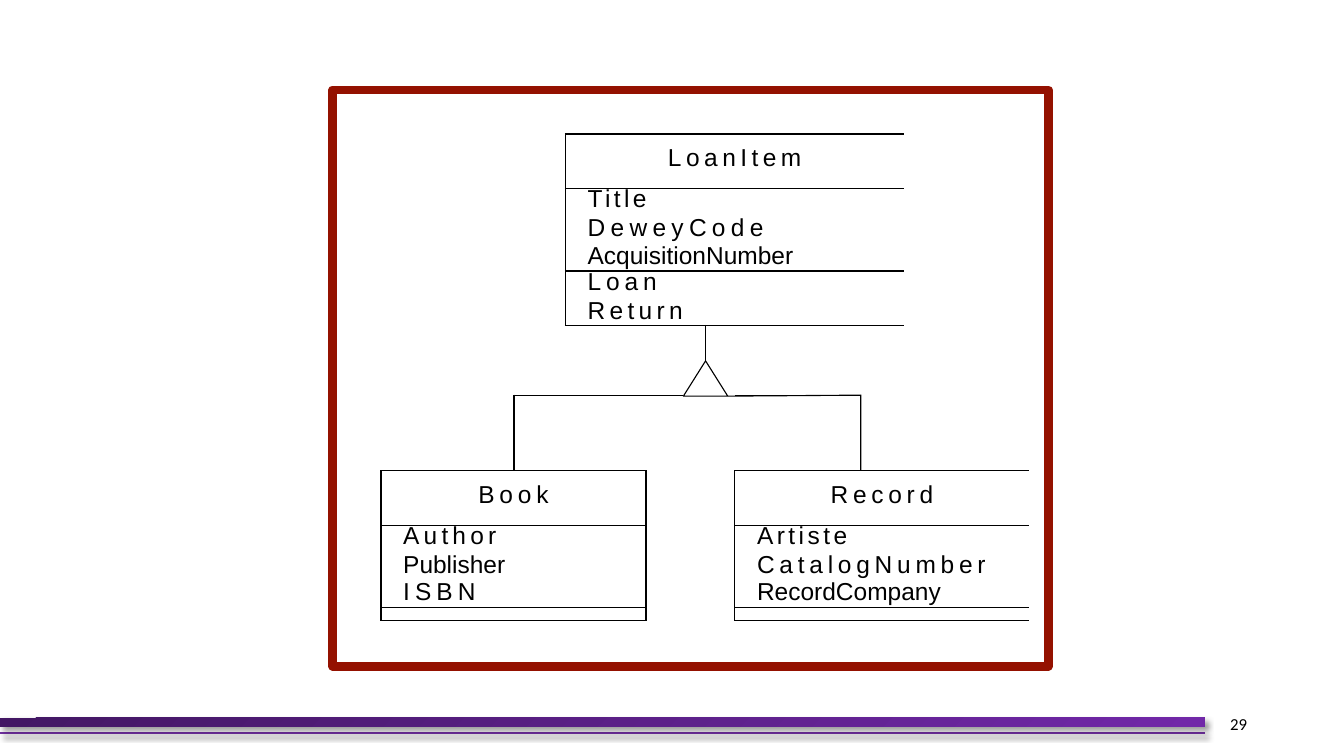
from lxml import etree
from pptx import Presentation, util as u
from pptx.dml import color
from pptx.enum import shapes, text
from pptx.oxml import ns, parse_xml

BLACK = "000000"
PURPLE = "7030A0"
FRAME_RED = "941100"
PLAIN_TABLE = "{2D5ABB26-0587-4C30-8999-92F81FD0307C}"
HEADING_SIZE = 17.5


def grid(steps):
    """Length of a number of grid steps, ten to the inch."""
    return u.Inches(steps / 10)


def paint(target, hex_code):
    target.rgb = color.RGBColor.from_string(hex_code)


def stroke(shape, hex_code, width):
    paint(shape.line.color, hex_code)
    shape.line.width = u.Pt(width)


def add_effects(shape, shadow=False):
    effects = etree.SubElement(shape._element.spPr, ns.qn("a:effectLst"))
    if shadow:
        outer = etree.SubElement(effects, ns.qn("a:outerShdw"), blurRad=str(u.Pt(4)),
                                 dist=str(u.Pt(3)), dir="2700000", algn="tl", rotWithShape="0")
        tint = etree.SubElement(outer, ns.qn("a:srgbClr"), val=BLACK)
        etree.SubElement(tint, ns.qn("a:alpha"), val="40000")


def add_line(page, start, end, hex_code, width, shadow=False):
    line = page.shapes.add_connector(shapes.MSO_CONNECTOR.STRAIGHT,
                                     *map(grid, start), *map(grid, end))
    stroke(line, hex_code, width)
    add_effects(line, shadow)


def add_outline(page, points, hex_code, width, closed=False):
    corners = [(grid(x), grid(y)) for x, y in points]
    builder = page.shapes.build_freeform(*corners[0], scale=1.0)
    builder.add_line_segments(corners[1:], close=closed)
    outline = builder.convert_to_shape()
    outline.shadow.inherit = False
    outline.fill.background()
    stroke(outline, hex_code, width)
    etree.SubElement(outline.line._ln, ns.qn("a:round"))


# Table cells
def set_borders(cell, sides):
    props = cell._tc.get_or_add_tcPr()
    for side in "LRTB":
        edge = etree.SubElement(props, ns.qn("a:ln" + side), w=str(u.Pt(1)))
        if side in sides:
            fill = etree.SubElement(edge, ns.qn("a:solidFill"))
            etree.SubElement(fill, ns.qn("a:srgbClr"), val=BLACK)
        else:
            etree.SubElement(edge, ns.qn("a:noFill"))
    cell.fill.background()


def clear_cell(cell):
    cell.margin_left = cell.margin_right = cell.margin_top = cell.margin_bottom = 0
    para = cell.text_frame.paragraphs[0]
    etree.SubElement(para._p, ns.qn("a:endParaRPr"), sz="500")


def write(para, words, spacing):
    para.text = words
    span = para.runs[0]
    span.font.name, span.font.size = "Arial", u.Pt(HEADING_SIZE)
    paint(span.font.color, BLACK)
    span._r.get_or_add_rPr().set("spc", str(round(spacing * 100)))


def write_heading(cell, heading):
    cell.margin_top = grid(1)
    para = cell.text_frame.paragraphs[0]
    write(para, *heading)
    para.alignment = text.PP_ALIGN.CENTER


def write_members(cell, members):
    frame = cell.text_frame
    for index, member in enumerate(members):
        para = frame.add_paragraph() if index else frame.paragraphs[0]
        write(para, *member)
        para._p.get_or_add_pPr().set("marL", str(grid(2.2)))
        para._p.get_or_add_pPr().set("indent", "0")
        para.line_spacing = u.Pt(19.6 if index else 17.5)
        if index == 1:
            para.space_before = u.Pt(1.1)


def add_class(page, corner, columns, rows, joint_row, joint_sides, parts):
    """Class table: boxed heading and members, plus one row holding the joint lines."""
    holder = page.shapes.add_table(len(rows), len(columns), *map(grid, corner),
                                   grid(sum(columns)), grid(sum(rows)))
    table = holder.table
    table.first_row = table.horz_banding = False
    table._tbl.tblPr.find(ns.qn("a:tableStyleId")).text = PLAIN_TABLE
    for column, width in zip(table.columns, columns):
        column.width = grid(width)
    for row, height in zip(table.rows, rows):
        row.height = grid(height)
    boxed = [index for index in range(len(rows)) if index != joint_row]

    # Borders: joint row as given, other rows as boxes two columns wide
    for row in range(len(rows)):
        for column in range(len(columns)):
            cell = table.cell(row, column)
            clear_cell(cell)
            if row == joint_row:
                set_borders(cell, joint_sides[column])
            else:
                set_borders(cell, ("LTB", "RTB", "L")[column])
    if len(columns) > 2:
        table.cell(joint_row, 1).merge(table.cell(joint_row, 2))
        table.cell(boxed[0], 2).merge(table.cell(boxed[-1], 2))

    # Words
    for row, part in zip(boxed, parts):
        cell = table.cell(row, 0)
        cell.merge(table.cell(row, 1))
        if row == boxed[0]:
            write_heading(cell, part[0])
        elif part:
            write_members(cell, part)


def add_footer(page):
    add_line(page, (0, 72.7), (119.5, 72.7), PURPLE, 1.5, shadow=True)
    bar = page.shapes.add_shape(shapes.MSO_SHAPE.RECTANGLE, 0, grid(71.2), grid(119.5), grid(0.9))
    bar.fill.gradient()
    bar.fill.gradient_angle = 315
    for stop, hex_code in zip(bar.fill.gradient_stops, ("431764", "7128A8")):
        paint(stop.color, hex_code)
    bar.line.fill.background()
    add_effects(bar, shadow=True)

    # Page number field
    box = page.shapes.add_textbox(*map(grid, (113.8, 69.8, 10.9, 4)))
    box.text_frame.word_wrap = True
    box.text_frame.vertical_anchor = text.MSO_ANCHOR.MIDDLE
    para = box.text_frame.paragraphs[0]
    para.alignment = text.PP_ALIGN.RIGHT
    para._p.append(parse_xml(
        f'<a:fld {ns.nsdecls("a")} id="{{B6F15528-21DE-4FAA-801E-634DDDAF4B2B}}" type="slidenum">'
        f'<a:rPr lang="en-US" sz="1200"><a:solidFill><a:srgbClr val="{BLACK}"/></a:solidFill>'
        '<a:latin typeface="Calibri"/></a:rPr><a:t>29</a:t></a:fld>'))


def main():
    deck = Presentation()
    deck.slide_width, deck.slide_height = grid(133.33), grid(75)
    deck.element.set("firstSlideNum", "29")
    page = deck.slides.add_slide(deck.slide_layouts[6])
    add_footer(page)

    # Parent class and inheritance arrow
    add_outline(page, [(72.2, 39.3), (67.8, 39.3), (70, 35.8)], BLACK, 0.8, closed=True)
    add_class(page, (56.1, 13.3), (13.9, 19.7), (5.4, 8.2, 5.4, 3.5), 3, ("TR", "LT"), [
        [("LoanItem", 3.2)],
        [("Title", 2.4), ("DeweyCode", 3.8), ("AcquisitionNumber", 0)],
        [("Loan", 3.5), ("Return", 3.1)]])
    add_outline(page, [(72.2, 39.3), (85.4, 39.2), (85.4, 46.7)], BLACK, 0.8)

    # Child classes
    child_rows = (7.5, 5.4, 8.2, 1.3)
    add_class(page, (72.9, 39.2), (12.5, 16.7), child_rows, 0, ("TRB", "LB"), [
        [("Record", 3.4)],
        [("Artiste", 2.5), ("CatalogNumber", 3.4), ("RecordCompany", 0)],
        []])
    add_class(page, (37.8, 39.2), (13.2, 13.1, 3.7), child_rows, 0, ("RB", "LTB", "TB"), [
        [("Book", 3.5)],
        [("Author", 3), ("Publisher", 0), ("ISBN", 3.6)],
        []])

    # Frame and joint line
    add_outline(page, [(33, 8.9), (104, 8.9), (104, 66.1), (33, 66.1)], FRAME_RED, 6, closed=True)
    add_line(page, (50.9, 46.7), (64.1, 46.7), BLACK, 1)
    deck.save("out.pptx")


if __name__ == "__main__":
    main()
